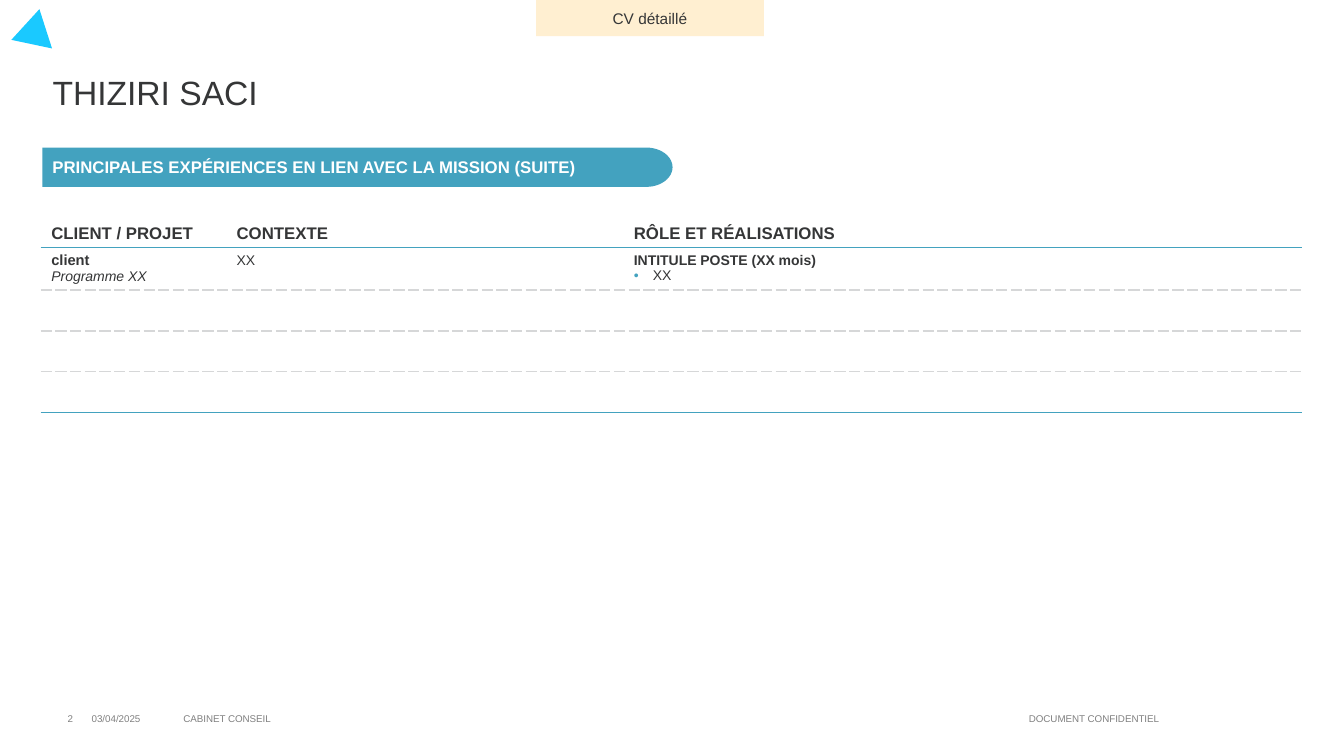
from math import cos, pi, sin

from pptx import Presentation
from pptx.dml.color import RGBColor
from pptx.enum.shapes import MSO_SHAPE as SHAPE
from pptx.enum.text import MSO_ANCHOR as ANCHOR, MSO_AUTO_SIZE as AUTO, PP_ALIGN as ALIGN
from pptx.oxml import parse_xml
from pptx.oxml.ns import nsdecls
from pptx.util import Cm, Pt

COLORS = {
    "text": "353637", "teal": "43A2BF", "cyan": "1AC9FF", "cream": "FFEFD1",
    "dash": "D6D7D8", "footer": "808080", "white": "FFFFFF",
}
LEFT, WIDTH = 1.07, 31.75


def rgb(name):
    return RGBColor.from_string(COLORS[name])


def write(p, text, size, color="text", bold=False, italic=False, align=ALIGN.LEFT):
    p.text = text
    p.alignment = align
    f = p.font
    f.name, f.size, f.bold, f.italic = "Arial", Pt(size), bold, italic
    f.color.rgb = rgb(color)


def paint(sp, color):
    sp.shadow.inherit = False
    sp.fill.solid()
    sp.fill.fore_color.rgb = rgb(color)
    sp.line.fill.background()


def add_corner(s, x, y, w, h):
    sp = s.shapes.add_shape(SHAPE.ISOSCELES_TRIANGLE, Cm(x), Cm(y), Cm(w), Cm(h))
    sp.rotation = 252.2
    paint(sp, "cyan")


def add_title(s, x, y, w, h):
    sp = s.shapes.title
    sp.left, sp.top, sp.width, sp.height = Cm(x), Cm(y), Cm(w), Cm(h)
    tf = sp.text_frame
    tf.auto_size = AUTO.NONE
    tf.vertical_anchor = ANCHOR.MIDDLE
    write(tf.paragraphs[0], "THIZIRI SACI", 24)


def add_tag(s, x, y, w, h):
    sp = s.shapes.add_shape(SHAPE.RECTANGLE, Cm(x), Cm(y), Cm(w), Cm(h))
    paint(sp, "cream")
    sp.text_frame.vertical_anchor = ANCHOR.MIDDLE
    write(sp.text_frame.paragraphs[0], "CV détaillé", 11, align=ALIGN.CENTER)


def add_banner(s, x, y, w, h):
    cap, steps = 0.66, 24
    angles = [pi * (i / steps - 0.5) for i in range(steps + 1)]
    arc = [(Cm(x + w - cap + cap * cos(a)), Cm(y + h / 2 * (1 + sin(a)))) for a in angles]
    fb = s.shapes.build_freeform(Cm(x), Cm(y))
    fb.add_line_segments(arc + [(Cm(x), Cm(y + h))], close=True)
    sp = fb.convert_to_shape()
    paint(sp, "teal")
    tf = sp.text_frame
    tf.word_wrap = True
    tf.vertical_anchor = ANCHOR.MIDDLE
    write(tf.paragraphs[0], "PRINCIPALES EXPÉRIENCES EN LIEN AVEC LA MISSION (SUITE)", 12,
          "white", bold=True)


def set_borders(cell, edges):
    tc_pr = cell._tc.get_or_add_tcPr()
    for i, (side, color, dash) in enumerate(edges):
        tc_pr.insert(i, parse_xml(
            f'<a:ln{side} {nsdecls("a")} w="12700"><a:solidFill><a:srgbClr val="{COLORS[color]}"/>'
            f'</a:solidFill><a:prstDash val="{dash}"/></a:ln{side}>'))


def add_bullet(p):
    p_pr = p._p.get_or_add_pPr()
    indent = Cm(0.48)
    p_pr.set("marL", str(indent))
    p_pr.set("indent", str(-indent))
    for xml in (
        f'<a:buClr {nsdecls("a")}><a:srgbClr val="{COLORS["teal"]}"/></a:buClr>',
        f'<a:buFont {nsdecls("a")} typeface="Arial"/>',
        f'<a:buChar {nsdecls("a")} char="•"/>',
        f'<a:tabLst {nsdecls("a")}><a:tab pos="{indent}" algn="l"/></a:tabLst>',
    ):
        p_pr.append(parse_xml(xml))


def add_experiences(s, x, y, w):
    widths, heights = (4.67, 10.01, w - 14.68), (0.71, 1.07, 1.03, 1.03, 1.03)
    frame = s.shapes.add_table(len(heights), len(widths), Cm(x), Cm(y), Cm(w), Cm(sum(heights)))
    table = frame.table
    table.first_row = table.horz_banding = False
    for col, width in zip(table.columns, widths):
        col.width = Cm(width)
    solid, dashed = ("teal", "solid"), ("dash", "sysDash")
    rules = [None, solid, dashed, dashed, dashed, solid]
    for r, height in enumerate(heights):
        table.rows[r].height = Cm(height)
        for c in range(len(widths)):
            cell = table.cell(r, c)
            cell.fill.background()
            edges = [("L", "white", "solid")] if c else []
            if c < len(widths) - 1:
                edges.append(("R", "white", "solid"))
            edges += [(side, *rule) for side, rule in zip("TB", rules[r:r + 2]) if rule]
            set_borders(cell, edges)

    for c, heading in enumerate(("CLIENT / PROJET", "CONTEXTE", "RÔLE ET RÉALISATIONS")):
        cell = table.cell(0, c)
        cell.vertical_anchor = ANCHOR.MIDDLE
        write(cell.text_frame.paragraphs[0], heading, 12, bold=True)
    client, context, role = (table.cell(1, c).text_frame for c in range(3))
    write(client.paragraphs[0], "client", 10.5, bold=True)
    write(client.add_paragraph(), "Programme XX", 10, italic=True)
    write(context.paragraphs[0], "XX", 10)
    write(role.paragraphs[0], "INTITULE POSTE (XX mois)", 10, bold=True)
    p = role.add_paragraph()
    add_bullet(p)
    write(p, "XX", 10)


def add_footer(s, x, y, h):
    for text, dx, w, align in (
        ("2", 0, 1.02, ALIGN.RIGHT),
        ("03/04/2025", 0.99, 2.29, ALIGN.LEFT),
        ("CABINET CONSEIL", 3.3, 21.31, ALIGN.LEFT),
        ("DOCUMENT CONFIDENTIEL", 24.58, 3.84, ALIGN.CENTER),
    ):
        tf = s.shapes.add_textbox(Cm(x + dx), Cm(y), Cm(w), Cm(h)).text_frame
        tf.word_wrap = True
        tf.vertical_anchor = ANCHOR.MIDDLE
        write(tf.paragraphs[0], text, 7, "footer", align=align)


def main():
    prs = Presentation()
    prs.slide_width, prs.slide_height = Cm(33.87), Cm(19.05)
    s = prs.slides.add_slide(prs.slide_layouts[5])
    add_corner(s, 0.2, 0.41, 1.04, 0.91)
    add_title(s, LEFT, 1.35, WIDTH, 1.93)
    add_tag(s, 13.51, 0, 5.74, 0.91)
    add_banner(s, LEFT, 3.72, 15.88, 0.99)
    add_experiences(s, 1.04, 5.51, WIDTH)
    add_footer(s, LEFT, 17.6, 1.02)
    prs.save("out.pptx")


if __name__ == "__main__":
    main()
